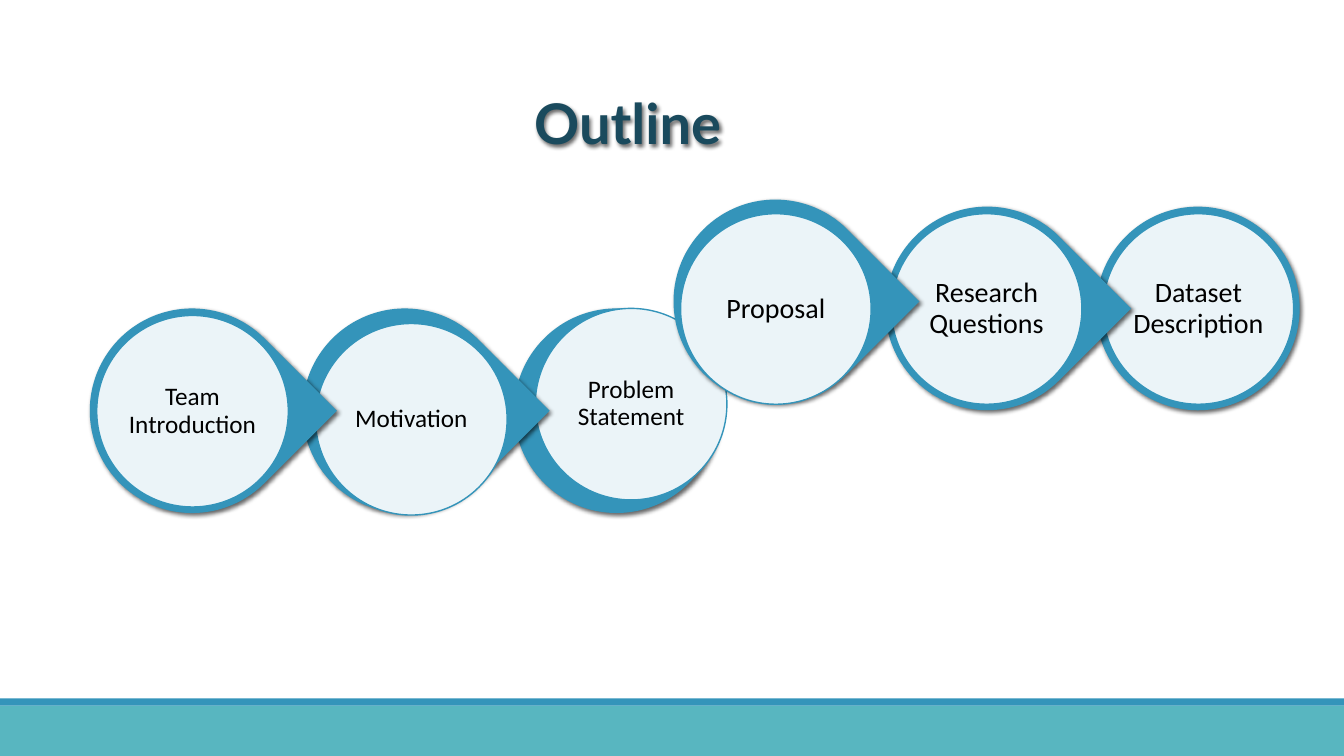
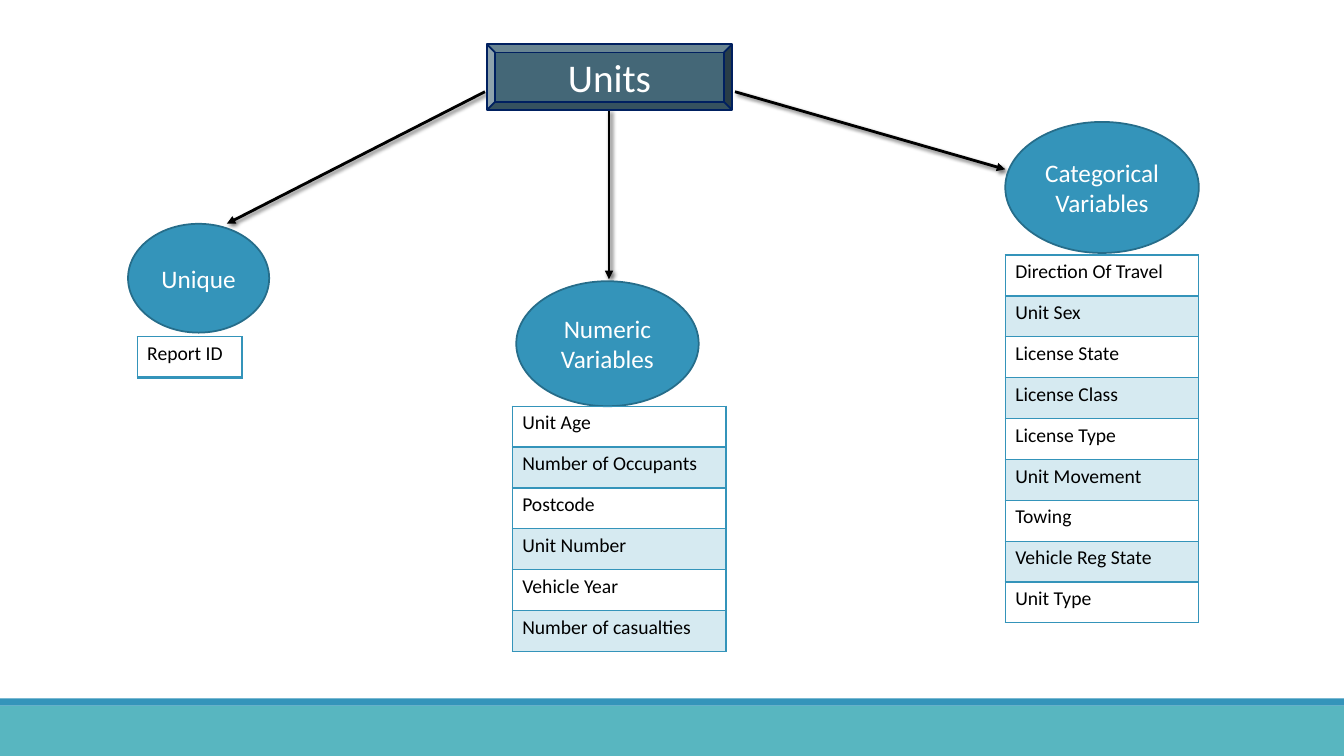
from pptx import Presentation
from pptx.dml.color import RGBColor
from pptx.enum.shapes import MSO_CONNECTOR, MSO_SHAPE as Geom
from pptx.enum.text import MSO_ANCHOR as Anchor, MSO_AUTO_SIZE as Fit, PP_ALIGN as Align
from pptx.oxml import parse_xml
from pptx.oxml.ns import nsdecls, qn
from pptx.util import Inches, Pt

BLUE, TEAL, EDGE = "3494BA", "58B6C0", "266D8A"
PALE, TINT = "EBF4F8", "D6EAF1"
SLATE, NAVY, DEEP = "446777", "002060", "1A4A5D"
WHITE, BLACK = "FFFFFF", "000000"
ROW = 3.65 / 9
SHADE = (
    '<a:outerShdw {} blurRad="38100" dist="25400" dir="2700000" algn="tl" rotWithShape="0">'
    '<a:srgbClr val="000000"><a:alpha val="60000"/></a:srgbClr></a:outerShdw>'
)

RINGS_LOW = [
    ("Problem Statement", Geom.OVAL, 5.1, 3.06, 5.31, 3.06),
    ("Motivation", Geom.TEAR, 3, 3.06, 3.13, 3.21),
    ("Team Introduction", Geom.TEAR, 0.89, 3.06, 0.96, 3.13),
]
RINGS_HIGH = [
    ("Dataset Description", Geom.OVAL, 10.87, 2.05, 10.94, 2.12),
    ("Research Questions", Geom.TEAR, 8.78, 2.05, 8.84, 2.12),
    ("Proposal", Geom.TEAR, 6.68, 1.98, 6.75, 2.12),
]
UNIQUE = ["Report ID"]
NUMERIC = ["Unit Age", "Number of Occupants", "Postcode", "Unit Number",
           "Vehicle Year", "Number of casualties"]
CLASSES = ["Direction Of Travel", "Unit Sex", "License State", "License Class",
           "License Type", "Unit Movement", "Towing", "Vehicle Reg State", "Unit Type"]


def paint(fill, color):
    fill.solid()
    fill.fore_color.rgb = RGBColor.from_string(color)


def shade(props):
    effects = props.find(qn("a:effectLst"))
    if effects is None:
        effects = parse_xml(f"<a:effectLst {nsdecls('a')}/>")
        props.append(effects)
    effects.append(parse_xml(SHADE.format(nsdecls("a"))))


def write(frame, text, size, color, align=Align.CENTER, name="Calibri", bold=False):
    frame.text = text
    para = frame.paragraphs[0]
    para.alignment = align
    font = para.runs[0].font
    font.name, font.size, font.bold = name, Pt(size), bold
    paint(font.fill, color)
    return para


def draw(slide, geom, box, fill, edge=None, width=1.25):
    shape = slide.shapes.add_shape(geom, *map(Inches, box))
    shape.shadow.inherit = False
    paint(shape.fill, fill)
    if edge:
        paint(shape.line.fill, edge)
        shape.line.width = Pt(width)
    else:
        shape.line.fill.background()
    return shape


def add_bands(prs, slide):
    tree = prs.slide_master.shapes.element
    for top, tall, color in [(6.93, 0.07, BLUE), (7, 0.5, TEAL)]:
        band = draw(slide, Geom.RECTANGLE, (0, top, 13.33, tall), color)
        tree.insert(2, band.element)


def add_title(slide, text, box, size, color, **style):
    title = slide.shapes.title
    title.left, title.top, title.width, title.height = map(Inches, box)
    frame = title.text_frame
    frame.word_wrap, frame.auto_size = True, Fit.NONE
    frame.vertical_anchor = Anchor.MIDDLE
    slide.shapes.element.append(title.element)
    write(frame, text, size, color, **style)
    return title


def add_ring(slide, text, geom, left, top, x, y, size, wide, disc):
    ring = draw(slide, geom, (left, top, wide, wide), BLUE)
    ring.rotation = 45 if geom == Geom.TEAR else 0
    shade(ring.element.spPr)
    face = draw(slide, Geom.OVAL, (x, y, disc, disc), PALE, BLUE, 1)
    frame = face.text_frame
    frame.word_wrap, frame.vertical_anchor = True, Anchor.MIDDLE
    frame.margin_left = frame.margin_right = 0
    frame.margin_top = frame.margin_bottom = 0
    write(frame, text, size, BLACK).line_spacing = 0.9


def add_node(slide, text, box):
    node = draw(slide, Geom.OVAL, box, BLUE, EDGE)
    node.text_frame.word_wrap = True
    node.text_frame.vertical_anchor = Anchor.MIDDLE
    write(node.text_frame, text, 18, WHITE)


def add_arrow(slide, *ends):
    arrow = slide.shapes.add_connector(MSO_CONNECTOR.STRAIGHT, *map(Inches, ends))
    paint(arrow.line.fill, BLACK)
    arrow.line.width = Pt(2)
    props = arrow.element.spPr
    props.find(qn("a:ln")).append(parse_xml(f'<a:tailEnd {nsdecls("a")} type="triangle"/>'))
    shade(props)


def add_edges(cell, above, below):
    props = cell._tc.get_or_add_tcPr()
    for spot, (side, width) in enumerate([("L", 1), ("R", 1), ("T", above), ("B", below)]):
        props.insert(spot, parse_xml(
            f'<a:ln{side} {nsdecls("a")} w="{Pt(width)}"><a:solidFill>'
            f'<a:srgbClr val="{BLUE}"/></a:solidFill></a:ln{side}>'))


def add_list(slide, items, left, top, wide):
    size = map(Inches, (left, top, wide, ROW * len(items)))
    table = slide.shapes.add_table(len(items), 1, *size).table
    table.first_row = table.horz_banding = False
    for i, item in enumerate(items):
        table.rows[i].height = Inches(ROW)
        cell = table.cell(i, 0)
        write(cell.text_frame, item, 14, BLACK, Align.LEFT)
        if i % 2:
            paint(cell.fill, TINT)
        else:
            cell.fill.background()
        add_edges(cell, 2 if i == 1 else 1, 2 if i == 0 else 1)


def add_outline(slide):
    for ring in RINGS_LOW:
        add_ring(slide, *ring, size=18, wide=2.03, disc=1.9)
    for ring in RINGS_HIGH:
        add_ring(slide, *ring, size=20, wide=2.02, disc=1.89)
    title = add_title(slide, "Outline", (4.96, 0.83, 2.53, 0.77), 40, DEEP,
                      name="Lato", bold=True)
    shade(title.element.spPr)


def add_units(slide):
    add_list(slide, UNIQUE, 1.36, 3.34, 1.04)
    add_list(slide, CLASSES, 9.97, 2.53, 1.92)
    add_arrow(slide, 6.04, 1.09, 6.04, 2.77)
    add_arrow(slide, 4.81, 0.91, 2.25, 2.22)
    add_arrow(slide, 7.29, 0.91, 9.97, 1.68)
    box = (4.83, 0.44, 2.43, 0.65)
    draw(slide, Geom.BEVEL, box, SLATE, NAVY)
    add_title(slide, "Units", box, 28, WHITE)
    add_node(slide, "Unique", (1.27, 2.22, 1.4, 1.08))
    add_node(slide, "Categorical Variables", (9.97, 1.21, 1.92, 1.3))
    add_node(slide, "Numeric Variables", (5.12, 2.79, 1.81, 1.24))
    add_list(slide, NUMERIC, 5.08, 4.03, 2.12)


def main():
    prs = Presentation()
    prs.slide_width, prs.slide_height = Inches(13.33), Inches(7.5)
    first, second = (prs.slides.add_slide(prs.slide_layouts[5]) for _ in range(2))
    add_bands(prs, first)
    add_outline(first)
    add_units(second)
    prs.save("out.pptx")


if __name__ == "__main__":
    main()
